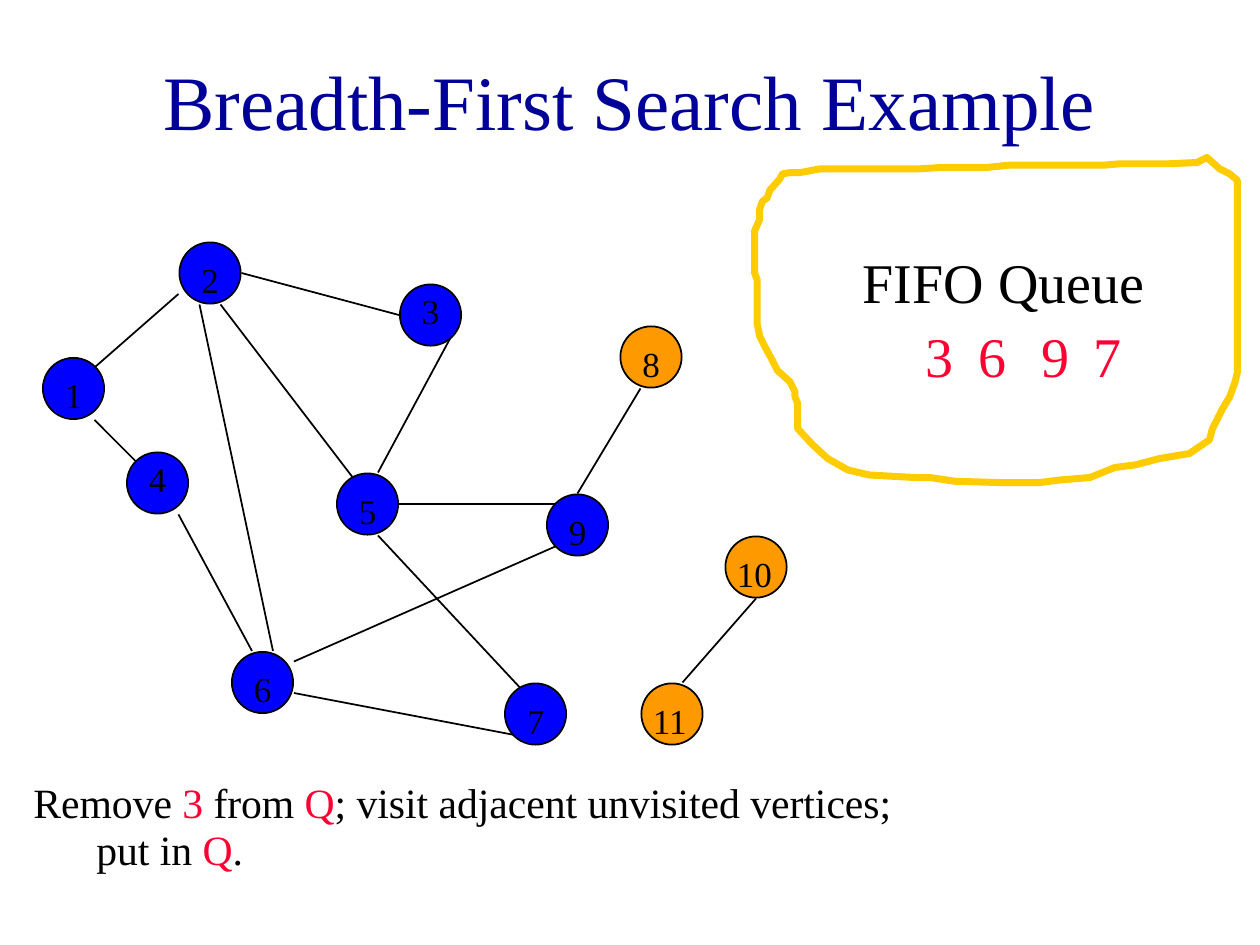
from pptx import Presentation, util as u
from pptx.dml.color import RGBColor
from pptx.enum import shapes, text
from pptx.oxml import parse_xml
from pptx.oxml.ns import nsdecls

NAVY = RGBColor(0x00, 0x00, 0x99)
BLACK = RGBColor(0x00, 0x00, 0x00)
RED = RGBColor(0xFF, 0x00, 0x33)
BLUE = RGBColor(0x00, 0x00, 0xFF)
ORANGE = RGBColor(0xFF, 0x99, 0x00)
YELLOW = RGBColor(0xFF, 0xCC, 0x00)

NODE_SIZE = 35
# vertex: (left, top) of its circle
VISITED = {1: (24.5, 204.5), 2: (102.5, 138.5), 4: (72.5, 258.5), 5: (192.5, 270.5),
           3: (228.5, 162.5), 6: (132.5, 372.5), 9: (312.5, 282.5), 7: (288.5, 390.5)}
UNVISITED = {8: (354.5, 186.5), 10: (414.5, 306.5), 11: (366.5, 390.5)}
RAISED_LABELS = (3, 4)

EDGES = [(102, 168, 54, 210), (126, 174, 204, 276), (54, 240, 78, 264),
         (102, 294, 144, 372), (168, 396, 294, 420), (258, 192, 216, 270),
         (216, 306, 300, 396), (366, 222, 330, 282), (390, 390, 432, 342),
         (228, 288, 318, 288), (138, 156, 228, 180), (114, 174, 156, 372),
         (168, 378, 318, 312)]

QUEUE = {3: 522, 6: 552, 9: 588, 7: 618}

# hand-drawn ring around the queue, in hundredths of an inch
RING = [(958, 125), (950, 129), (928, 130), (889, 130), (877, 131), (802, 131),
        (782, 133), (746, 133), (730, 134), (651, 134), (635, 137), (627, 137),
        (621, 138), (619, 142), (611, 151), (609, 157), (605, 160), (603, 166),
        (603, 174), (599, 183), (599, 217), (601, 222), (601, 257), (603, 267),
        (607, 275), (613, 286), (617, 294), (627, 303), (631, 311), (631, 315),
        (633, 320), (633, 340), (645, 353), (657, 364), (673, 373), (690, 377),
        (726, 379), (738, 379), (758, 382), (794, 383), (825, 383), (841, 381),
        (865, 379), (885, 371), (901, 369), (920, 364), (944, 360), (960, 349),
        (962, 341), (970, 325), (976, 315), (980, 304), (982, 296), (982, 143),
        (976, 138), (968, 134)]


class Sketch:
    """Places styled elements on the current slide; lengths are in points."""

    font = "Times New Roman"

    def __init__(self, page):
        self.page = page

    def spans(self, para, pieces, size):
        """Add (wording, colour) pieces to a paragraph."""
        for wording, colour in pieces:
            span = para.add_run()
            span.text = wording
            for name, value in {"name": self.font, "size": u.Pt(size)}.items():
                setattr(span.font, name, value)
            span.font.color.rgb = colour

    def title(self, wording, left, top, width, height):
        box = self.page.shapes.title
        place = {"left": left, "top": top, "width": width, "height": height}
        for name, value in place.items():
            setattr(box, name, u.Pt(value))
        box.text_frame.vertical_anchor = text.MSO_ANCHOR.MIDDLE
        para = box.text_frame.paragraphs[0]
        para.alignment = text.PP_ALIGN.CENTER
        self.spans(para, [(wording, NAVY)], 44)

    def text_box(self, left, top, width, height, holder=None):
        box = (holder or self.page).shapes.add_textbox(
            u.Pt(left), u.Pt(top), u.Pt(width), u.Pt(height))
        box.text_frame.word_wrap = True
        return box.text_frame

    def label(self, wording, left, top, width, height, size, colour=BLACK, holder=None):
        frame = self.text_box(left, top, width, height, holder)
        self.spans(frame.paragraphs[0], [(str(wording), colour)], size)

    def caption(self, lines, left, top, width, height):
        """Write (pieces, margin, first-line indent) lines as tight paragraphs."""
        frame = self.text_box(left, top, width, height)
        for number, (pieces, margin, indent) in enumerate(lines):
            para = frame.add_paragraph() if number else frame.paragraphs[0]
            spacing = {"line_spacing": 0.7, "space_before": u.Pt(7), "level": number}
            for name, value in spacing.items():
                setattr(para, name, value)
            layout = para._p.get_or_add_pPr()
            layout.set("marL", str(u.Pt(margin)))
            layout.set("indent", str(u.Pt(indent)))
            self.spans(para, pieces, 23.8)

    def edge(self, *ends):
        line = self.page.shapes.add_connector(
            shapes.MSO_CONNECTOR.STRAIGHT, *(u.Pt(end) for end in ends))
        line.line.color.rgb = BLACK
        line.line.width = u.Pt(1)
        line._element.spPr.append(parse_xml(f"<a:effectLst {nsdecls('a')}/>"))

    def node(self, vertex, left, top, colour):
        """Group a circle with its number."""
        group = self.page.shapes.add_group_shape()
        circle = group.shapes.add_shape(
            shapes.MSO_SHAPE.OVAL, u.Pt(left), u.Pt(top), u.Pt(NODE_SIZE), u.Pt(NODE_SIZE))
        circle.shadow.inherit = False
        circle.fill.solid()
        circle.fill.fore_color.rgb = colour
        circle.line.color.rgb = BLACK
        circle.line.width = u.Pt(1)
        shift, width = (5.5, 18) if vertex < 10 else (-0.5, 36)
        drop = -0.5 if vertex in RAISED_LABELS else 5.5
        self.label(vertex, left + shift, top + drop, width, 31, 20, holder=group)

    def ring(self, points):
        builder = self.page.shapes.build_freeform(*points[0], scale=u.Pt(0.72))
        builder.add_line_segments(points[1:], close=True)
        outline = builder.convert_to_shape()
        outline.shadow.inherit = False
        outline.fill.background()
        outline.line.color.rgb = YELLOW
        outline.line.width = u.Pt(4)


def main():
    deck = Presentation()
    deck.slide_width, deck.slide_height = u.Pt(720), u.Pt(540)
    sketch = Sketch(deck.slides.add_slide(deck.slide_layouts[5]))

    sketch.title("Breadth-First Search Example", 54, 12, 612, 90)
    sketch.caption([
        ([("Remove ", BLACK), ("3", RED), (" from ", BLACK), ("Q", RED),
          ("; visit adjacent unvisited vertices;", BLACK)], 27, -27),
        ([("put in ", BLACK), ("Q", RED), (".", BLACK)], 58.5, -22.5),
    ], 12, 448, 708, 56)

    for vertex, corner in UNVISITED.items():
        sketch.node(vertex, *corner, ORANGE)
    for ends in EDGES:
        sketch.edge(*ends)
    for vertex, corner in VISITED.items():
        sketch.node(vertex, *corner, BLUE)

    sketch.label("FIFO Queue", 486, 138, 222, 104, 32)
    sketch.ring(RING)
    for vertex, left in QUEUE.items():
        sketch.label(vertex, left, 180, 31, 45, 32, RED)

    deck.save("out.pptx")


if __name__ == "__main__":
    main()
